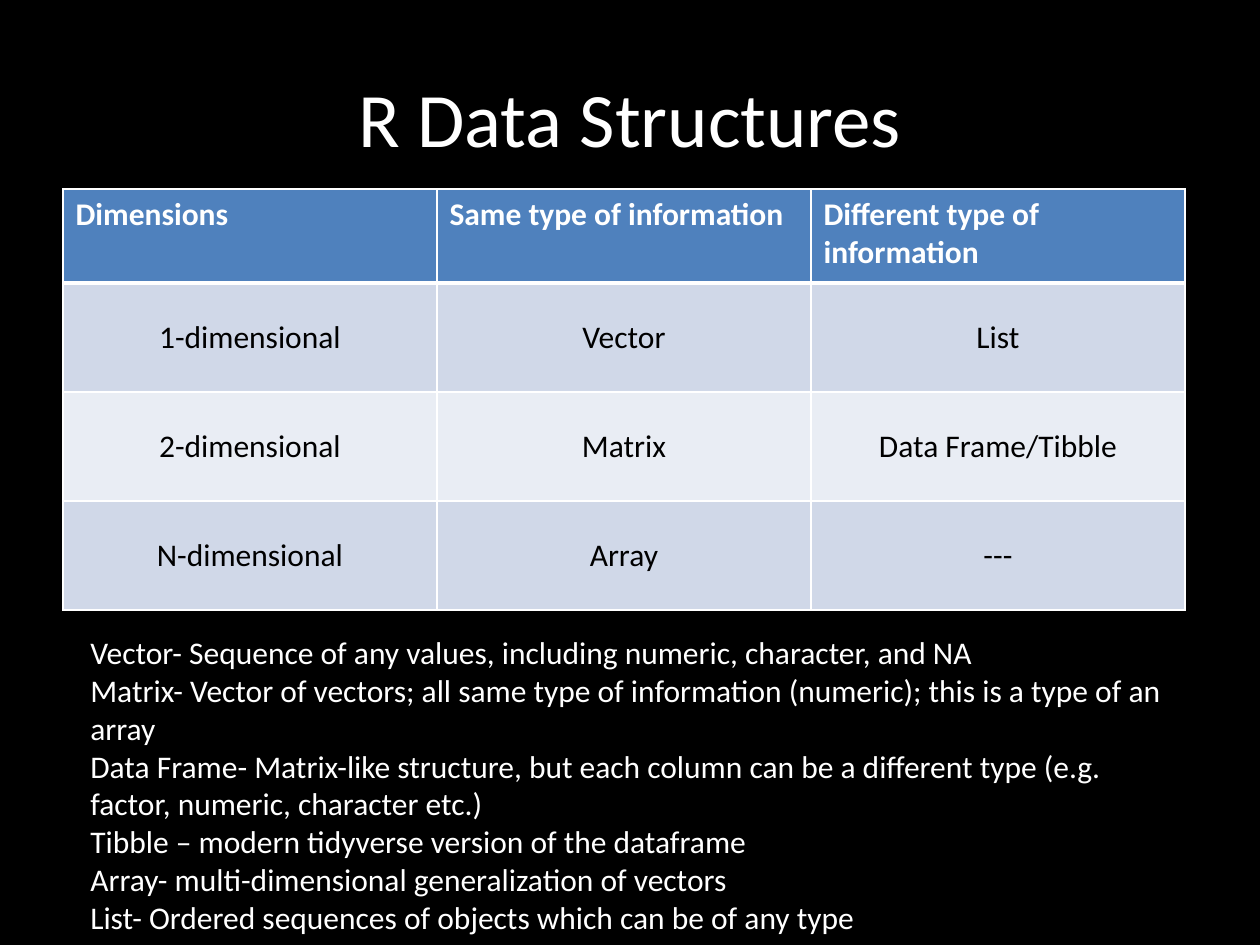
"""Build the R Data Structures slide: a title, a comparison table and definitions."""
import pptx
import pptx.dml.color
import pptx.enum.text
import pptx.oxml
import pptx.oxml.ns
import pptx.util

PX = 914400 // 126
COLORS = {
    "background": "000000",
    "light": "FFFFFF",
    "dark": "000000",
    "header": "4F81BD",
    "odd": "D0D8E8",
    "even": "E9EDF4",
}
ALIGN = pptx.enum.text.PP_ALIGN
ANCHOR = pptx.enum.text.MSO_ANCHOR


def rgb(key):
    return pptx.dml.color.RGBColor.from_string(COLORS[key])


def style_text(frame, size, color, align=ALIGN.LEFT, bold=False):
    frame.word_wrap = True
    for paragraph in frame.paragraphs:
        paragraph.alignment = align
        for run in paragraph.runs:
            run.font.name = "Calibri"
            run.font.size = pptx.util.Pt(size)
            run.font.bold = bold
            run.font.color.rgb = rgb(color)


deck = pptx.Presentation()
deck.slide_width = pptx.util.Inches(10)
deck.slide_height = pptx.util.Inches(7.5)
slide = deck.slides.add_slide(deck.slide_layouts[6])
slide.background.fill.solid()
slide.background.fill.fore_color.rgb = rgb("background")

title = slide.shapes.add_textbox(63 * PX, 38 * PX, 1134 * PX, 157 * PX).text_frame
title.text = "R Data Structures"
title.vertical_anchor = ANCHOR.MIDDLE
style_text(title, 44, "light", ALIGN.CENTER)

structures = [
    ["Dimensions", "Same type of information", "Different type of information"],
    ["1-dimensional", "Vector", "List"],
    ["2-dimensional", "Matrix", "Data Frame/Tibble"],
    ["N-dimensional", "Array", "---"],
]
column_width, header_height, row_height = 374, 94, 109
grid = slide.shapes.add_table(
    len(structures), 3, 63 * PX, 189 * PX,
    3 * column_width * PX, (header_height + 3 * row_height) * PX,
).table
for column in grid.columns:
    column.width = column_width * PX

for row_index, labels in enumerate(structures):
    is_header = row_index == 0
    grid.rows[row_index].height = (header_height if is_header else row_height) * PX
    fill = "header" if is_header else "odd" if row_index % 2 else "even"
    widths = {"L": 1, "R": 1, "T": 3 if row_index == 1 else 1, "B": 3 if is_header else 1}
    for column_index, label in enumerate(labels):
        cell = grid.cell(row_index, column_index)
        cell.text_frame.text = label
        properties = cell._tc.get_or_add_tcPr()
        for side, width in widths.items():
            properties.append(pptx.oxml.parse_xml(
                f'<a:ln{side} {pptx.oxml.ns.nsdecls("a")} w="{pptx.util.Pt(width)}">'
                f'<a:solidFill><a:srgbClr val="{COLORS["light"]}"/></a:solidFill></a:ln{side}>'
            ))
        cell.fill.solid()
        cell.fill.fore_color.rgb = rgb(fill)
        if is_header:
            style_text(cell.text_frame, 18, "light", bold=True)
        else:
            cell.vertical_anchor = ANCHOR.MIDDLE
            style_text(cell.text_frame, 18, "dark", ALIGN.CENTER)

definitions = slide.shapes.add_textbox(78 * PX, 627 * PX, 1102 * PX, 318 * PX).text_frame
definitions.text = "\n".join([
    "Vector- Sequence of any values, including numeric, character, and NA",
    "Matrix- Vector of vectors; all same type of information (numeric); this is a type of an array",
    "Data Frame- Matrix-like structure, but each column can be a different type "
    "(e.g. factor, numeric, character etc.)",
    "Tibble – modern tidyverse version of the dataframe",
    "Array- multi-dimensional generalization of vectors",
    "List- Ordered sequences of objects which can be of any type",
])
style_text(definitions, 18, "light")

deck.save("out.pptx")
